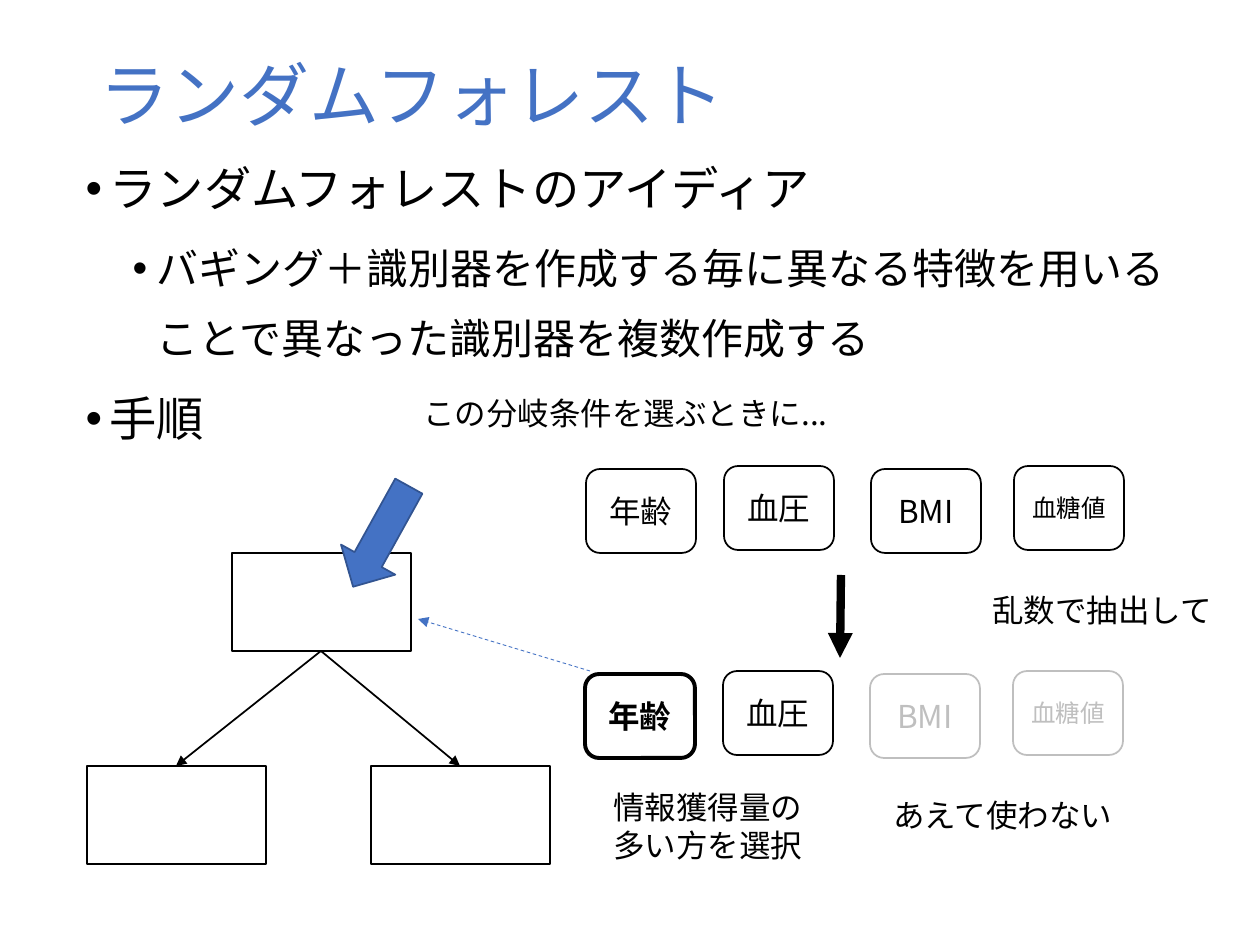
from dataclasses import dataclass
from lxml.etree import SubElement
from pptx import Presentation
from pptx.dml.color import RGBColor
from pptx.enum.dml import MSO_LINE
from pptx.enum.shapes import MSO_CONNECTOR, MSO_SHAPE
from pptx.enum.text import MSO_ANCHOR as Anchor, MSO_AUTO_SIZE as AutoSize, PP_ALIGN as Align
from pptx.oxml.ns import qn
from pptx.util import Pt


@dataclass(frozen=True)
class Theme:
    font: str = "Noto Sans CJK JP"
    ink: str = "000000"
    accent: str = "4472C4"
    accent_edge: str = "325491"
    faded: str = "BFBFBF"
    title: int = 40
    bullet: int = 27
    sub_bullet: int = 24
    label: int = 18
    small: int = 14


THEME = Theme()
EMU_PER_PX = 914400 / 126

# Content; places are left, top, width, height in px
TITLE = "ランダムフォレスト"
TITLE_PLACE = (87, 50, 1086, 97)
BODY_PLACE = (73, 140, 1115, 741)
BULLETS = [
    (0, "ランダムフォレストのアイディア"),
    (1, "バギング＋識別器を作成する毎に異なる特徴を用いることで異なった識別器を複数作成する"),
    (0, "手順"),
]
BULLET_STYLES = [  # size, space before, left indent
    (THEME.bullet, 7.5, 24),
    (THEME.sub_bullet, 3.8, 71),
]
HANGING = 24

NODE_SIZE = (179, 98)
ROOT = (232, 553)
LEAVES = [(87, 766), (371, 766)]
POINTER_PLACE = (350, 479, 62, 115)

FEATURES = [  # name, size, left, top
    ("年齢", THEME.label, 586, 469),
    ("血圧", THEME.label, 724, 466),
    ("BMI", THEME.label, 871, 469),
    ("血糖値", THEME.small, 1014, 466),
]
CHIP_SIZE = (110, 84)
SAMPLED_SHIFT = (-1, 205)
SAMPLED_LOOK = [  # colour, line width, bold
    (THEME.ink, 2.25, True),
    (THEME.ink, 1, False),
    (THEME.faded, 1, False),
    (THEME.faded, 1, False),
]
NOTES = [  # lines, place, wrap
    (["この分岐条件を選ぶときに..."], (411, 388, 431, 50), True),
    (["あえて使わない"], (881, 790, 248, 50), False),
    (["乱数で抽出して"], (980, 585, 248, 50), False),
    (["情報獲得量の", "多い方を選択"], (601, 782, 217, 89), False),
]


def px(value):
    return round(value * EMU_PER_PX)


def place(shape, box):
    shape.left, shape.top, shape.width, shape.height = map(px, box)


def write(para, text, size=THEME.label, color=THEME.ink, bold=False, align=Align.LEFT):
    para.alignment = align
    span = para.add_run()
    span.text = text
    font = span.font
    font.size, font.bold, font.name = Pt(size), bold, THEME.font
    font.color.rgb = RGBColor.from_string(color)
    SubElement(font._element, qn("a:ea"), typeface=THEME.font)


def set_bullet(para, left):
    props = para._p.get_or_add_pPr()
    props.set("marL", str(px(left)))
    props.set("indent", str(-px(HANGING)))
    SubElement(props, qn("a:buFont"), typeface="Arial")
    SubElement(props, qn("a:buChar"), char="•")


def add_block(page, kind, box, color=THEME.ink, width=1, fill=None):
    shape = page.shapes.add_shape(kind, *map(px, box))
    shape.shadow.inherit = False
    if fill:
        shape.fill.solid()
        shape.fill.fore_color.rgb = RGBColor.from_string(fill)
    else:
        shape.fill.background()
    shape.line.color.rgb = RGBColor.from_string(color)
    shape.line.width = Pt(width)
    return shape


def add_chip(page, text, size, box, color=THEME.ink, width=1, bold=False):
    chip = add_block(page, MSO_SHAPE.ROUNDED_RECTANGLE, box, color, width)
    chip.text_frame.vertical_anchor = Anchor.MIDDLE
    write(chip.text_frame.paragraphs[0], text, size=size, color=color,
          bold=bold, align=Align.CENTER)


def add_arrow(page, start, end, color=THEME.ink, width=1, dash=None):
    arrow = page.shapes.add_connector(MSO_CONNECTOR.STRAIGHT, *map(px, start + end))
    arrow.line.color.rgb = RGBColor.from_string(color)
    arrow.line.width = Pt(width)
    if dash:
        arrow.line.dash_style = dash
    SubElement(arrow.line._get_or_add_ln(), qn("a:tailEnd"), type="triangle")
    SubElement(arrow._element.spPr, qn("a:effectLst"))


def add_note(page, lines, box, wrap):
    frame = page.shapes.add_textbox(*map(px, box)).text_frame
    frame.word_wrap = wrap
    frame.auto_size = AutoSize.SHAPE_TO_FIT_TEXT
    for i, text in enumerate(lines):
        write(frame.add_paragraph() if i else frame.paragraphs[0], text)


def add_text(page):
    title, body = page.shapes.title, page.placeholders[1]
    place(title, TITLE_PLACE)
    place(body, BODY_PLACE)
    for holder in (title, body):
        holder.text_frame.auto_size = AutoSize.NONE
    title.text_frame.vertical_anchor = Anchor.MIDDLE
    para = title.text_frame.paragraphs[0]
    para.line_spacing = 0.9
    write(para, TITLE, size=THEME.title, color=THEME.accent)

    frame = body.text_frame
    for i, (level, text) in enumerate(BULLETS):
        size, before, left = BULLET_STYLES[level]
        para = frame.add_paragraph() if i else frame.paragraphs[0]
        para.level = level
        set_bullet(para, left)
        para.line_spacing = Pt(40)
        para.space_before = Pt(before if i else 0)
        write(para, text, size=size)


def add_tree(page):
    width, height = NODE_SIZE
    for corner in [ROOT, *LEAVES]:
        add_block(page, MSO_SHAPE.RECTANGLE, corner + NODE_SIZE)
    root_foot = (ROOT[0] + width // 2, ROOT[1] + height)
    for left, top in LEAVES:
        add_arrow(page, root_foot, (left + width // 2, top))
    pointer = add_block(page, MSO_SHAPE.DOWN_ARROW, POINTER_PLACE,
                        THEME.accent_edge, fill=THEME.accent)
    pointer.rotation = 29


def add_features(page):
    shift_x, shift_y = SAMPLED_SHIFT
    for (name, size, left, top), (color, width, bold) in zip(FEATURES, SAMPLED_LOOK):
        add_chip(page, name, size, (left, top) + CHIP_SIZE)
        add_chip(page, name, size, (left + shift_x, top + shift_y) + CHIP_SIZE,
                 color, width, bold)
    # Sampling step, then the chosen feature going to the root
    add_arrow(page, (841, 575), (840, 658), width=4.75)
    add_arrow(page, (590, 671), (418, 619), THEME.accent, 0.5, MSO_LINE.DASH)


def main():
    deck = Presentation()
    deck.slide_width, deck.slide_height = px(1260), px(945)
    page = deck.slides.add_slide(deck.slide_layouts[1])
    add_text(page)
    add_tree(page)
    add_features(page)
    for note in NOTES:
        add_note(page, *note)
    deck.save("out.pptx")


if __name__ == "__main__":
    main()
